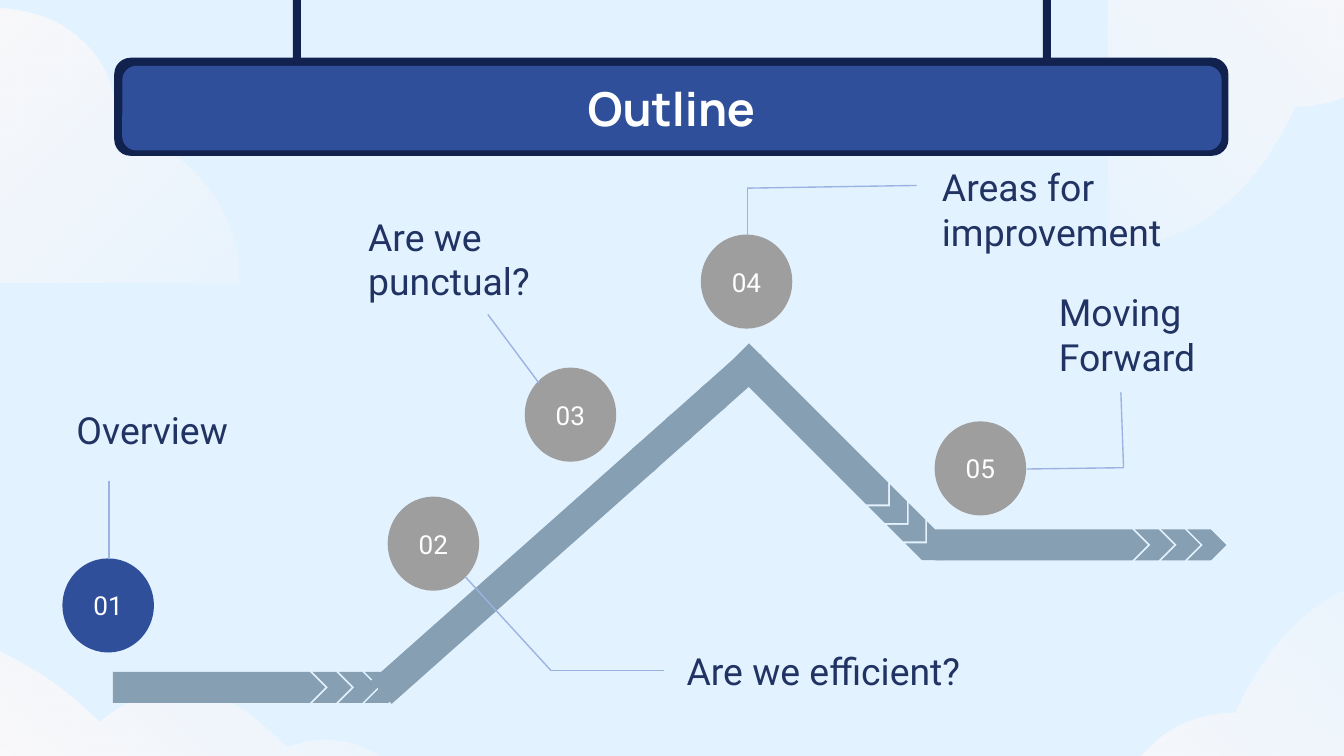
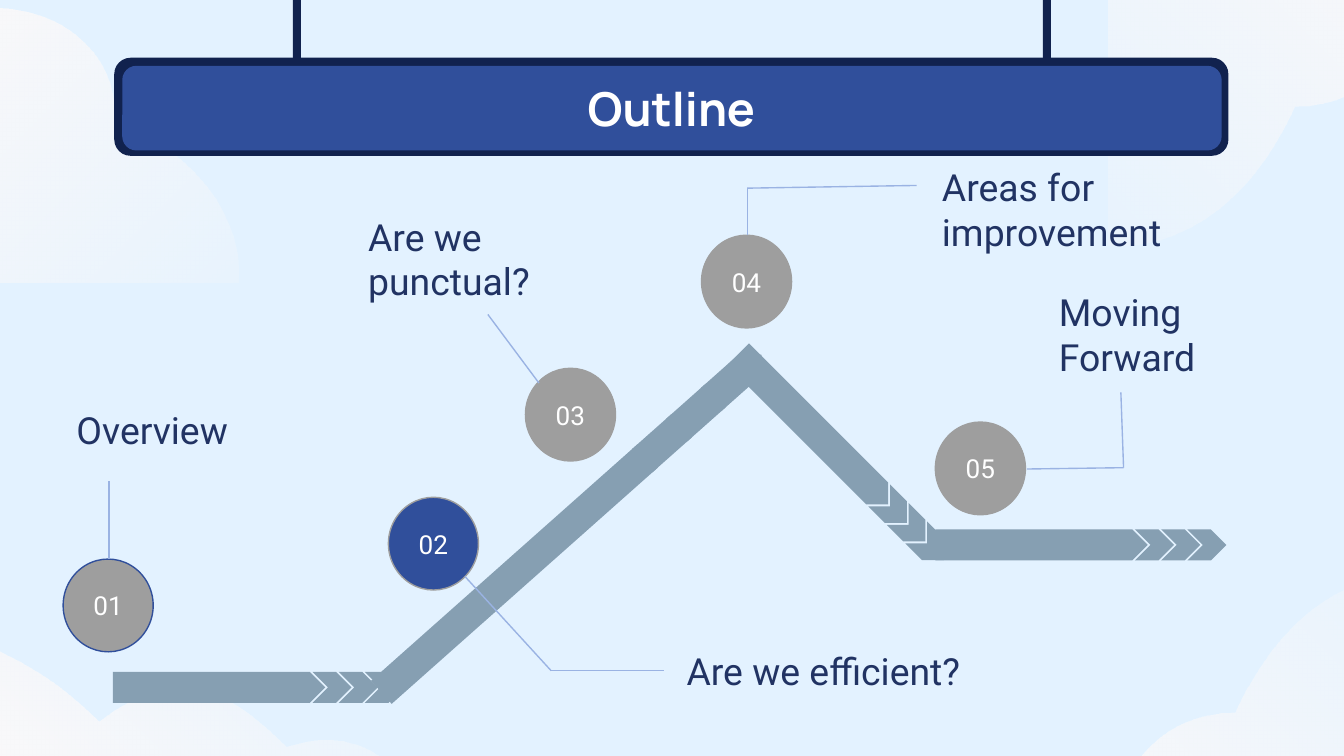
from math import cos, radians, sin

from lxml.etree import SubElement
from pptx import Presentation
from pptx.dml.color import RGBColor
from pptx.enum.shapes import MSO_CONNECTOR, MSO_SHAPE
from pptx.enum.text import MSO_ANCHOR, MSO_AUTO_SIZE, PP_ALIGN
from pptx.oxml.ns import qn
from pptx.util import Pt

PX = 9144  # 100 px to the inch
WIDTH, HEIGHT = 1000 * PX, 1000 * PX * 9 // 16

SKY, NAVY, BLUE, GREY = "E3F2FF", "11224E", "304F9B", "9E9E9E"
ROAD, LEADER, INK, WHITE, CLOUD = "869FB2", "9AB3E3", "213363", "FFFFFF", "FEFAF9"

TITLE = "Outline"
TITLE_BOX = (78, 49, 843, 63)
SIGN = [  # box, colour
    ((85, 43, 829, 73), NAVY),
    ((91, 49, 818, 63), BLUE),
    ((776, -27, 6, 73), NAVY),
    ((218, -27, 6, 73), NAVY),
]

# Cloud outlines: a start, three curves of three points each, then a line
CORNER = [(306, 13), (306, 13), (221, 0), (168, 116), (108, 116), (75, 165),
          (75, 220), (23, 220), (0, 272), (0, 272), (306, 272)]
BANK = [(0, 20), (0, 20), (71, 0), (156, 84), (220, 35), (260, 68),
        (295, 103), (363, 81), (384, 134), (384, 134), (0, 134)]
CLOUDS = [  # outline, box, turn
    (CORNER, (-68, -46, 271, 242), 90),
    (CORNER, (751, 414, 306, 272), 0),
    (BANK, (-82, 453, 384, 134), 0),
    (CORNER, (825, -77, 306, 272), 180),
]

# Each road is a plate with three chevrons after it
PLATE, DEPTH, CHEVRON, FIRST, STEP = 158, 23, 29, 84, 19.5
ROADS = [  # left, top, plate length, turn
    (249, 412, 276, 318.4),
    (526, 308, PLATE, 45),
    (696, 394, PLATE, 0),
    (84, 500, PLATE, 0),
]

BALL = (67, 69)
STOPS = [  # ball corner, ball outline, label, label box, leader points
    ((47, 416), BLUE, "Overview", (47, 293, 229, 54),
     [(81, 416), (81, 358)]),
    ((289, 370), GREY, "Are we efficient?", (501, 472, 288, 54),
     [(346, 429), (410, 499), (494, 499)]),
    ((391, 274), GREY, "Are we punctual?", (264, 149, 229, 88),
     [(401, 285), (363, 234)]),
    ((522, 175), GREY, "Areas for\nimprovement", (691, 112, 319, 88),
     [(556, 175), (556, 140), (682, 138)]),
    ((696, 314), GREY, "Moving\nForward", (778, 205, 169, 88),
     [(764, 349), (836, 348), (834, 292)]),
]


def emu(*sizes):
    return [round(size * PX) for size in sizes]


def rgb(code):
    return RGBColor.from_string(code)


def paint(part, color):
    part.fill.solid()
    part.fill.fore_color.rgb = rgb(color)


def place(part, box):
    part.left, part.top, part.width, part.height = emu(*box)


def add_part(shapes, kind, box, color, turn=0):
    part = shapes.add_shape(kind, *emu(*box))
    part.shadow.inherit = False
    part.rotation = turn
    paint(part, color)
    part.line.fill.background()
    return part


def write(part, text, face, size, color, align=PP_ALIGN.LEFT,
          anchor=MSO_ANCHOR.TOP, fit=MSO_AUTO_SIZE.NONE, bold=False):
    frame = part.text_frame
    frame.text = text
    frame.word_wrap = True
    frame.auto_size = fit
    frame.vertical_anchor = anchor
    frame.margin_left = frame.margin_right = 10 * PX
    frame.margin_top = frame.margin_bottom = 10 * PX
    for line in frame.paragraphs:
        line.alignment = align
        line.font.name, line.font.size, line.font.bold = face, Pt(size), bold
        line.font.color.rgb = rgb(color)


def add_cloud(shapes, outline, box, turn):
    pen = shapes.build_freeform(*outline[0], scale=PX)
    pen.add_line_segments(outline[1:], close=True)
    cloud = pen.convert_to_shape()
    path = cloud.element.find(".//" + qn("a:path"))
    lines = path.findall(qn("a:lnTo"))
    for i in (0, 3, 6):
        curve = SubElement(path, qn("a:cubicBezTo"))
        path.replace(lines[i], curve)
        curve.append(lines[i][0])
        for line in lines[i + 1:i + 3]:
            curve.append(line[0])
            path.remove(line)
    place(cloud, box)
    cloud.rotation = turn
    cloud.shadow.inherit = False
    cloud.line.fill.background()
    cloud.fill.gradient()
    cloud.fill.gradient_angle = 225
    for stop in cloud.fill.gradient_stops:
        stop.color.rgb = rgb(CLOUD)
    tint = cloud.element.find(".//" + qn("a:gs") + "/" + qn("a:srgbClr"))
    SubElement(tint, qn("a:alpha"), val="19000")
    return cloud


def dress(layout, slide):
    """Draw the shared scene on a slide, then hand it to the layout."""
    paint(layout.background, SKY)
    scene = [add_cloud(slide.shapes, *cloud) for cloud in CLOUDS]
    sign = slide.shapes.add_group_shape()
    for box, color in SIGN:
        add_part(sign.shapes, MSO_SHAPE.ROUNDED_RECTANGLE, box, color)
    for part in scene + [sign]:
        layout.shapes.element.append(part.element)
    place(layout.placeholders[0], TITLE_BOX)


def add_road(shapes, left, top, length, turn):
    group = shapes.add_group_shape().shapes
    add_part(group, MSO_SHAPE.PENTAGON, (left, top, length, DEPTH), ROAD, turn)
    scale = length / PLATE
    wide = CHEVRON * scale
    for i in range(3):
        reach = (FIRST + i * STEP) * scale
        x = left + length / 2 + reach * cos(radians(turn)) - wide / 2
        y = top + reach * sin(radians(turn))
        add_part(group, MSO_SHAPE.CHEVRON, (x, y, wide, DEPTH), ROAD, turn)


def add_leader(shapes, start, end):
    line = shapes.add_connector(MSO_CONNECTOR.STRAIGHT, *emu(*start, *end))
    line.line.color.rgb = rgb(LEADER)
    line.line.width = Pt(0.75)
    SubElement(line.element.spPr, qn("a:effectLst"))


def add_stop(shapes, number, active, corner, edge, label, box, points):
    ball = add_part(shapes, MSO_SHAPE.OVAL, corner + BALL, BLUE if active else GREY)
    ball.line.color.rgb = rgb(edge)
    ball.line.width = Pt(0.75)
    write(ball, f"{number:02}", "Roboto", 14, WHITE, PP_ALIGN.CENTER, MSO_ANCHOR.MIDDLE)
    for start, end in zip(points, points[1:]):
        add_leader(shapes, start, end)
    note = shapes.add_textbox(*emu(*box))
    write(note, label, "Roboto", 20, INK, fit=MSO_AUTO_SIZE.SHAPE_TO_FIT_TEXT)


def main():
    deck = Presentation()
    deck.slide_width, deck.slide_height = WIDTH, HEIGHT
    layout = deck.slide_layouts[5]
    for current in (1, 2):
        slide = deck.slides.add_slide(layout)
        if current == 1:
            dress(layout, slide)
        write(slide.shapes.title, TITLE, "Manrope", 25, WHITE,
              PP_ALIGN.CENTER, MSO_ANCHOR.MIDDLE, bold=True)
        for road in ROADS:
            add_road(slide.shapes, *road)
        for number, stop in enumerate(STOPS, 1):
            add_stop(slide.shapes, number, number == current, *stop)
    deck.save("out.pptx")


if __name__ == "__main__":
    main()
